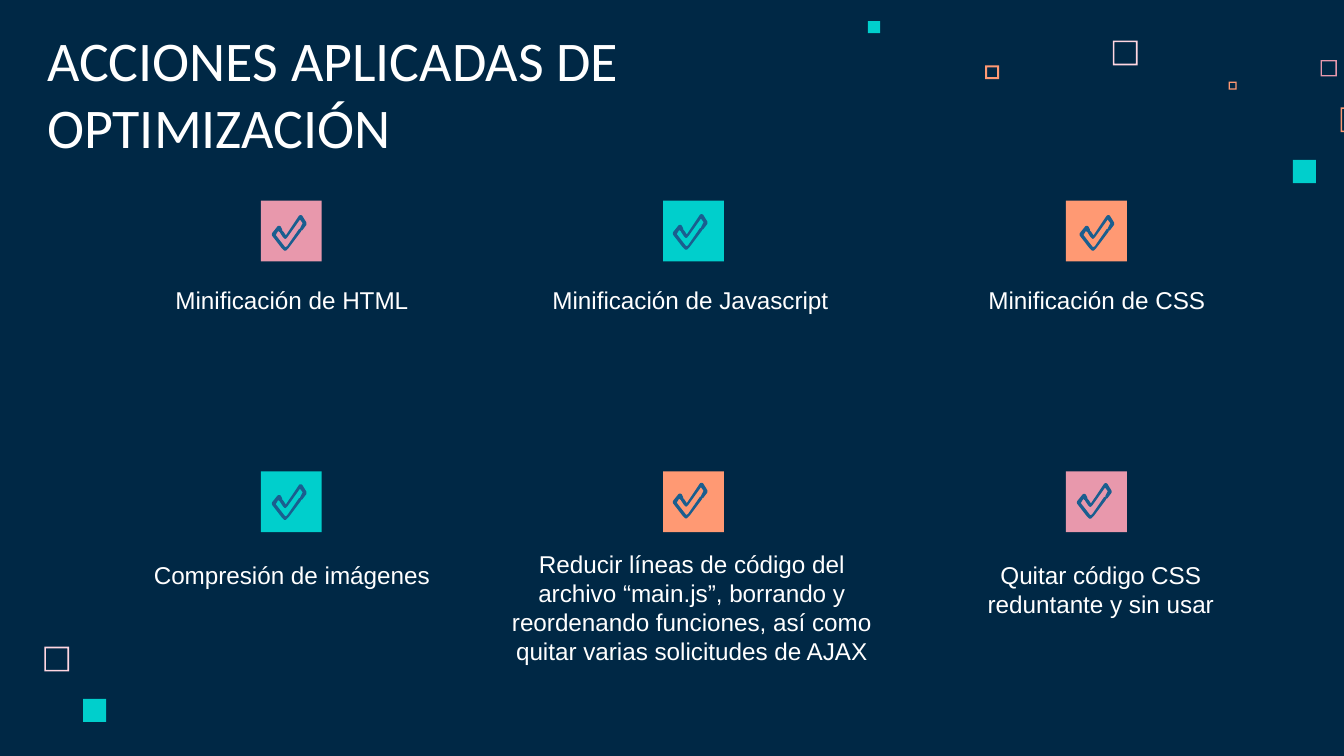
from pptx import Presentation
from pptx.dml.color import RGBColor
from pptx.enum.shapes import MSO_SHAPE
from pptx.enum.text import MSO_ANCHOR, MSO_AUTO_SIZE, PP_ALIGN
from pptx.util import Pt

COLORS = {
    "navy": "002845",
    "white": "FFFFFF",
    "blush": "FFD6E1",
    "pink": "E898AC",
    "orange": "FF9973",
    "teal": "00CFCC",
    "blue": "1A5E8F",
}

FRAMES = [
    (596.2, 21.8, 13.2, "blush", 0.85),
    (707.4, 32.2, 8.7, "pink", 0.7),
    (658.2, 43.7, 4.3, "orange", 0.7),
    (718.2, 57.6, 13.2, "orange", 0.8),
    (527.8, 35, 7.4, "orange", 1.05),
    (23.8, 346.5, 13.2, "blush", 0.85),
]
SQUARES = [
    (692.6, 85.7, 12.4, "teal"),
    (465, 11.3, 6.5, "teal"),
    (44.5, 374.4, 12.4, "teal"),
]

TILE = 32.6
COLUMNS = [139.8, 355.2, 571.1]
ROWS = [107.5, 252.6]
ACTIONS = [
    [
        ("Minificación de HTML", "pink", (6.5, 8.4), (69.5, 145.4, 173.5)),
        ("Minificación de Javascript", "teal", (5.9, 7.9), (283, 145.4, 173.5)),
        ("Minificación de CSS", "orange", (7.9, 8.4), (498.2, 145.4, 178.6)),
    ],
    [
        ("Compresión de imágenes", "teal", (6.5, 7.5), (74.9, 293, 162.7)),
        ("Reducir líneas de código del archivo “main.js”, borrando y "
         "reordenando funciones, así como quitar varias solicitudes de AJAX",
         "orange", (5.9, 6.7), (262.5, 287, 216)),
        ("Quitar código CSS reduntante y sin usar", "pink", (6.5, 6.9), (508.3, 293, 162.7)),
    ],
]
LABEL_HEIGHT = 64.8

CHECK_UNIT = 0.72
CHECK_OUTLINES = [
    [(4, 8), (0, 13), (0, 14), (7, 23), (9, 25), (11, 23), (20, 11), (20, 10),
     (11, 23), (9, 24), (8, 23), (1, 14), (4, 9), (5, 11), (6, 11), (6, 10), (5, 8)],
    [(20, 0), (10, 15), (9, 15), (7, 12), (6, 11), (6, 12), (8, 15), (9, 16),
     (10, 15), (20, 1), (23, 5), (21, 9), (21, 10), (24, 6), (24, 5), (21, 0)],
]


def color(name):
    return RGBColor.from_string(COLORS[name])


def add_square(page, left, top, size, fill, kind=MSO_SHAPE.RECTANGLE):
    square = page.shapes.add_shape(kind, Pt(left), Pt(top), Pt(size), Pt(size))
    square.shadow.inherit = False
    square.fill.solid()
    square.fill.fore_color.rgb = color(fill)
    square.line.fill.background()
    return square


def add_decoration(page):
    for left, top, size, fill, thickness in FRAMES:
        frame = add_square(page, left, top, size, fill, MSO_SHAPE.FRAME)
        frame.adjustments[0] = thickness / size
    for square in SQUARES:
        add_square(page, *square)


def write(box, text, font_name, size, alignment):
    frame = box.text_frame
    frame.word_wrap = True
    frame.auto_size = MSO_AUTO_SIZE.NONE
    frame.margin_left = frame.margin_right = Pt(7.2)
    frame.margin_top = frame.margin_bottom = Pt(7.2)
    frame.text = text
    para = frame.paragraphs[0]
    para.alignment = alignment
    para.font.name = font_name
    para.font.size = Pt(size)
    para.font.color.rgb = color("white")


def add_title(page, left, top, width, height):
    title = page.shapes.title
    title.left, title.top = Pt(left), Pt(top)
    title.width, title.height = Pt(width), Pt(height)
    write(title, "ACCIONES APLICADAS DE OPTIMIZACIÓN", "Calibri", 30, PP_ALIGN.LEFT)
    title.text_frame.vertical_anchor = MSO_ANCHOR.BOTTOM


def add_check(page, left, top):
    group = page.shapes.add_group_shape()
    for start, *points in CHECK_OUTLINES:
        builder = group.shapes.build_freeform(*start, scale=Pt(CHECK_UNIT))
        builder.add_line_segments(points, close=True)
        stroke = builder.convert_to_shape(Pt(left), Pt(top))
        stroke.shadow.inherit = False
        stroke.fill.solid()
        stroke.fill.fore_color.rgb = color("navy")
        stroke.line.color.rgb = color("blue")
        stroke.line.width = Pt(1.2)


def add_action(page, left, top, text, fill, check_offset, label_box):
    add_square(page, left, top, TILE, fill)
    add_check(page, left + check_offset[0], top + check_offset[1])
    label_left, label_top, label_width = label_box
    label = page.shapes.add_textbox(
        Pt(label_left), Pt(label_top), Pt(label_width), Pt(LABEL_HEIGHT))
    write(label, text, "Arial", 13, PP_ALIGN.CENTER)


def main():
    deck = Presentation()
    deck.slide_width, deck.slide_height = Pt(720), Pt(405)
    page = deck.slides.add_slide(deck.slide_layouts.get_by_name("Title Only"))
    page.background.fill.solid()
    page.background.fill.fore_color.rgb = color("navy")
    add_decoration(page)
    add_title(page, 18, 47.5, 444.2, 45.4)
    for top, actions in zip(ROWS, ACTIONS):
        for left, action in zip(COLUMNS, actions):
            add_action(page, left, top, *action)
    deck.save("out.pptx")


if __name__ == "__main__":
    main()
